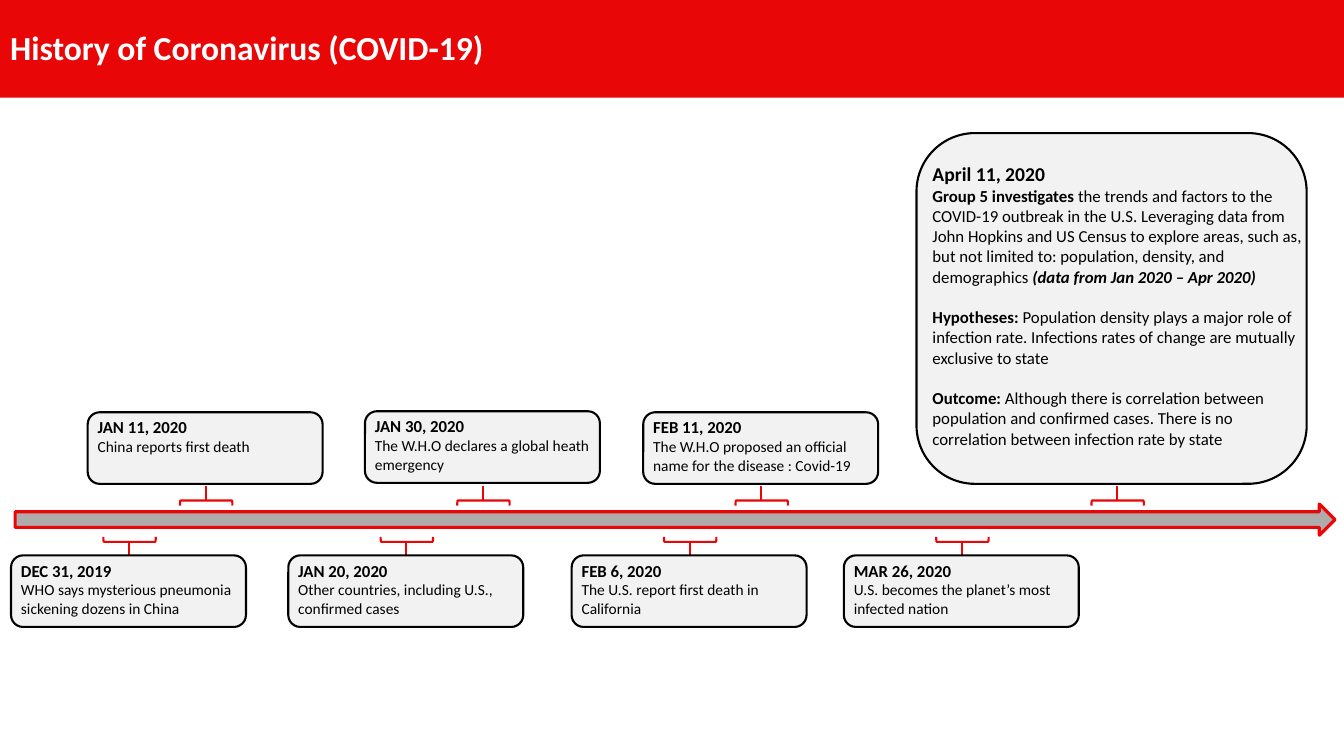
import lxml.etree
import pptx
import pptx.dml.color
import pptx.enum.shapes
import pptx.enum.text
import pptx.oxml.ns
import pptx.util

PX = 9144
THEME = {
    "font": "Calibri",
    "red": "E90606",
    "gray": "AFABAB",
    "card": "F2F2F2",
    "ink": "000000",
    "white": "FFFFFF",
    "title": 24,
    "lead": 14,
    "head": 12,
    "body": 11,
    "gap": 14.65,
    "line": 1.5,
    "arrow": 2.25,
}
KIND = pptx.enum.shapes.MSO_SHAPE
rgb = pptx.dml.color.RGBColor.from_string


def write(p, text, size="head", color="ink", bold=False, italic=False):
    r = p.add_run()
    r.text = text
    r.font.name = THEME["font"]
    r.font.size = pptx.util.Pt(THEME[size])
    r.font.color.rgb = rgb(THEME[color])
    r.font.bold = bold
    r.font.italic = italic


def draw(kind, box, fill=None, line=None, weight="line"):
    sp = s.shapes.add_shape(kind, *[v * PX for v in box])
    sp.shadow.inherit = False
    if fill:
        sp.fill.solid()
        sp.fill.fore_color.rgb = rgb(THEME[fill])
    else:
        sp.fill.background()
    if line:
        sp.line.color.rgb = rgb(THEME[line])
        sp.line.width = pptx.util.Pt(THEME[weight])
    else:
        sp.line.fill.background()
    return sp


prs = pptx.Presentation()
prs.slide_width = 1333 * PX
prs.slide_height = 750 * PX
s = prs.slides.add_slide(prs.slide_layouts[5])

banner = draw(KIND.RECTANGLE, (0, -2, 1333, 99), "red")
title = s.shapes.title
title.element.addprevious(banner.element)
title.left, title.top, title.width, title.height = [v * PX for v in (0, 22, 1333, 50)]
tf = title.text_frame
tf.auto_size = pptx.enum.text.MSO_AUTO_SIZE.NONE
tf.vertical_anchor = pptx.enum.text.MSO_ANCHOR.MIDDLE
tf.paragraphs[0].alignment = pptx.enum.text.PP_ALIGN.LEFT
write(tf.paragraphs[0], "History of Coronavirus (COVID-19)", size="title", color="white", bold=True)

draw(KIND.RIGHT_ARROW, (15, 500, 1309, 31), "gray", "red", "arrow")

events = [
    (11, 551, "DEC 31, 2019", "WHO says mysterious pneumonia sickening dozens in China"),
    (87, 409, "JAN 11, 2020", "China reports first death"),
    (286, 551, "JAN 20, 2020", "Other countries, including U.S., confirmed cases"),
    (362, 408, "JAN 30, 2020", "The W.H.O declares a global heath emergency"),
    (567, 551, "FEB 6, 2020", "The U.S. report first death in California"),
    (638, 409, "FEB 11, 2020", "The W.H.O proposed an official name for the disease : Covid-19"),
    (837, 551, "MAR 26, 2020", "U.S. becomes the planet’s most infected nation"),
]
cards = []
for x, y, date, note in events:
    paragraphs = [
        (0, [(date, {"bold": True})]),
        (0, [(note, {"size": "body"})]),
    ]
    cards.append(((x, y, 233, 71), (x, y, 233, 67), x + 117, paragraphs))

project = [
    (0, [("April 11, 2020", {"size": "lead", "bold": True})]),
    (0, [
        ("Group 5 investigates ", {"bold": True}),
        ("the trends and factors to the COVID-19 outbreak in the U.S. Leveraging data from "
         "John Hopkins and US Census to explore areas, such as, but not limited to: "
         "population, density, and demographics ", {}),
        ("(data from Jan 2020 – Apr 2020)", {"bold": True, "italic": True}),
    ]),
    (THEME["gap"], [
        ("Hypotheses: ", {"bold": True}),
        ("Population density plays a major role of infection rate. "
         "Infections rates of change are mutually exclusive to state", {}),
    ]),
    (THEME["gap"], [
        ("Outcome: ", {"bold": True}),
        ("Although there is correlation between population and confirmed cases. "
         "There is no correlation between infection rate by state", {}),
    ]),
]
cards.append(((909, 132, 387, 348), (915, 156, 387, 296), 1108, project))

for box, text_box, mark, paragraphs in cards:
    above = box[1] < 500
    bracket = draw(KIND.RIGHT_BRACKET, (mark - 2, 473 if above else 509, 5, 52), line="red")
    bracket.rotation = 270 if above else 90

    start, end = (496, 482) if above else (537, 551)
    stem = s.shapes.add_connector(
        pptx.enum.shapes.MSO_CONNECTOR.STRAIGHT, mark * PX, start * PX, mark * PX, end * PX)
    stem.line.color.rgb = rgb(THEME["red"])
    stem.line.width = pptx.util.Pt(THEME["line"])
    lxml.etree.SubElement(stem.element.spPr, pptx.oxml.ns.qn("a:effectLst"))

    draw(KIND.ROUNDED_RECTANGLE, box, "card", "ink")
    tf = s.shapes.add_textbox(*[v * PX for v in text_box]).text_frame
    tf.word_wrap = True
    for i, (gap, runs) in enumerate(paragraphs):
        p = tf.add_paragraph() if i else tf.paragraphs[0]
        p.space_before = pptx.util.Pt(gap)
        for text, style in runs:
            write(p, text, **style)

prs.save("out.pptx")
